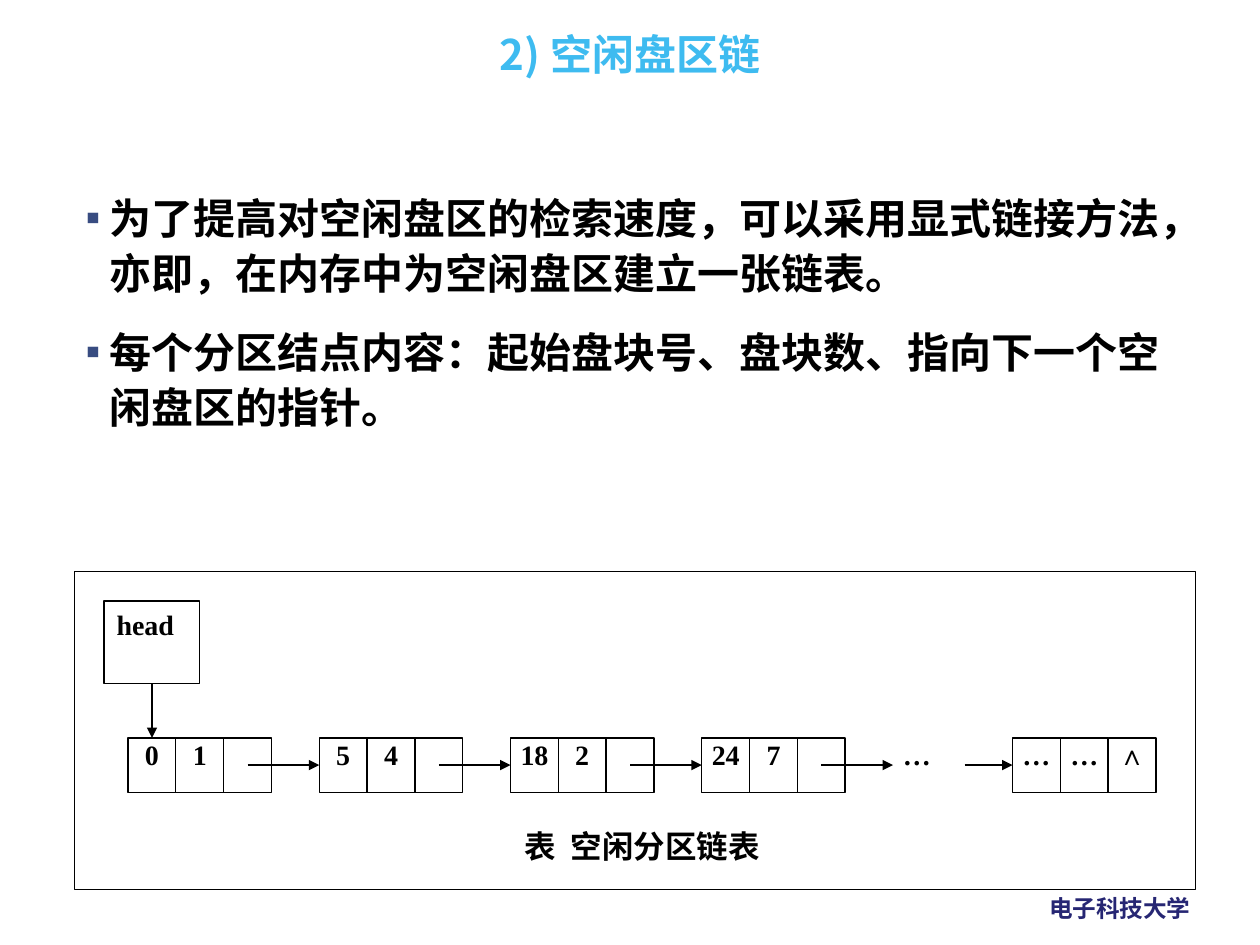
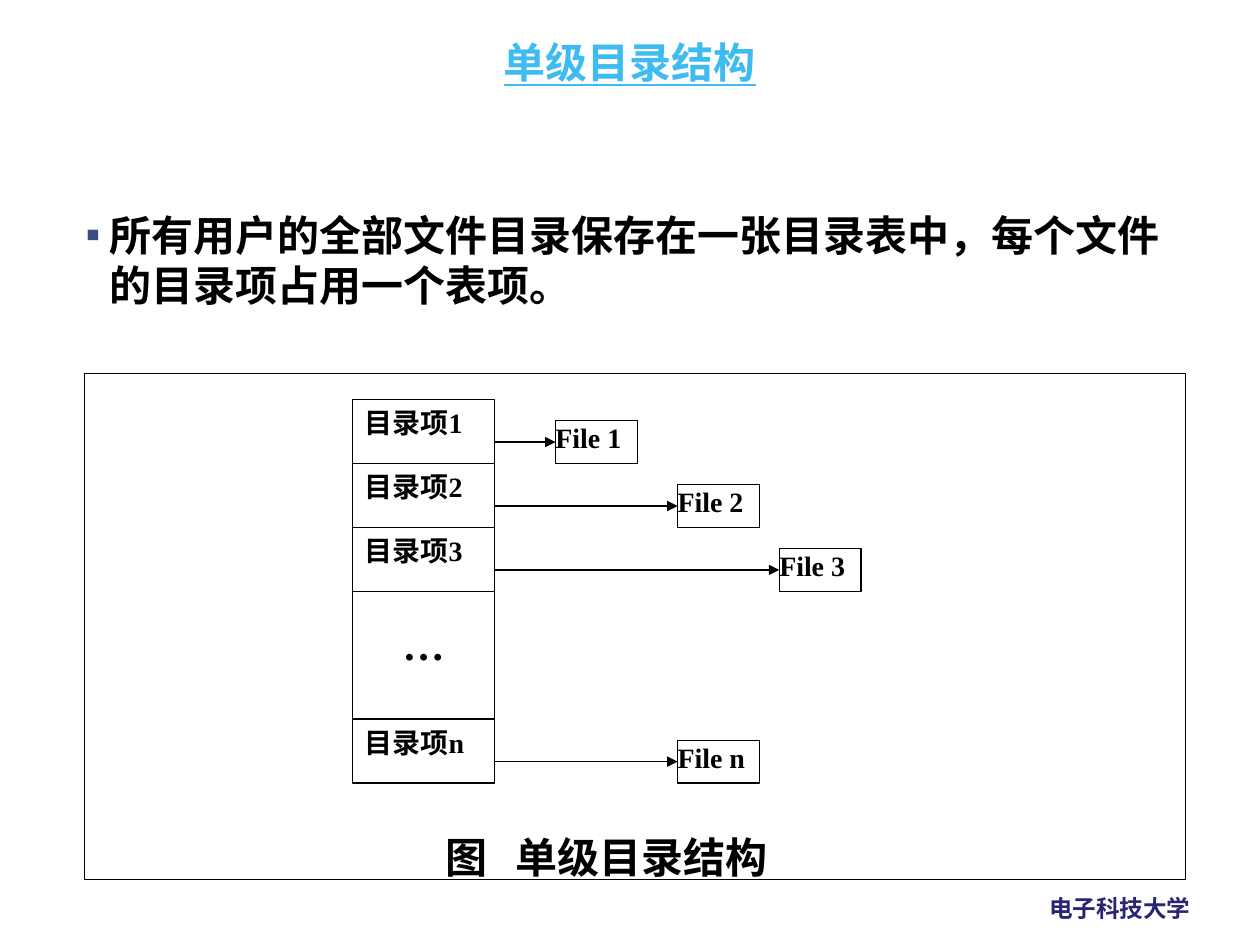
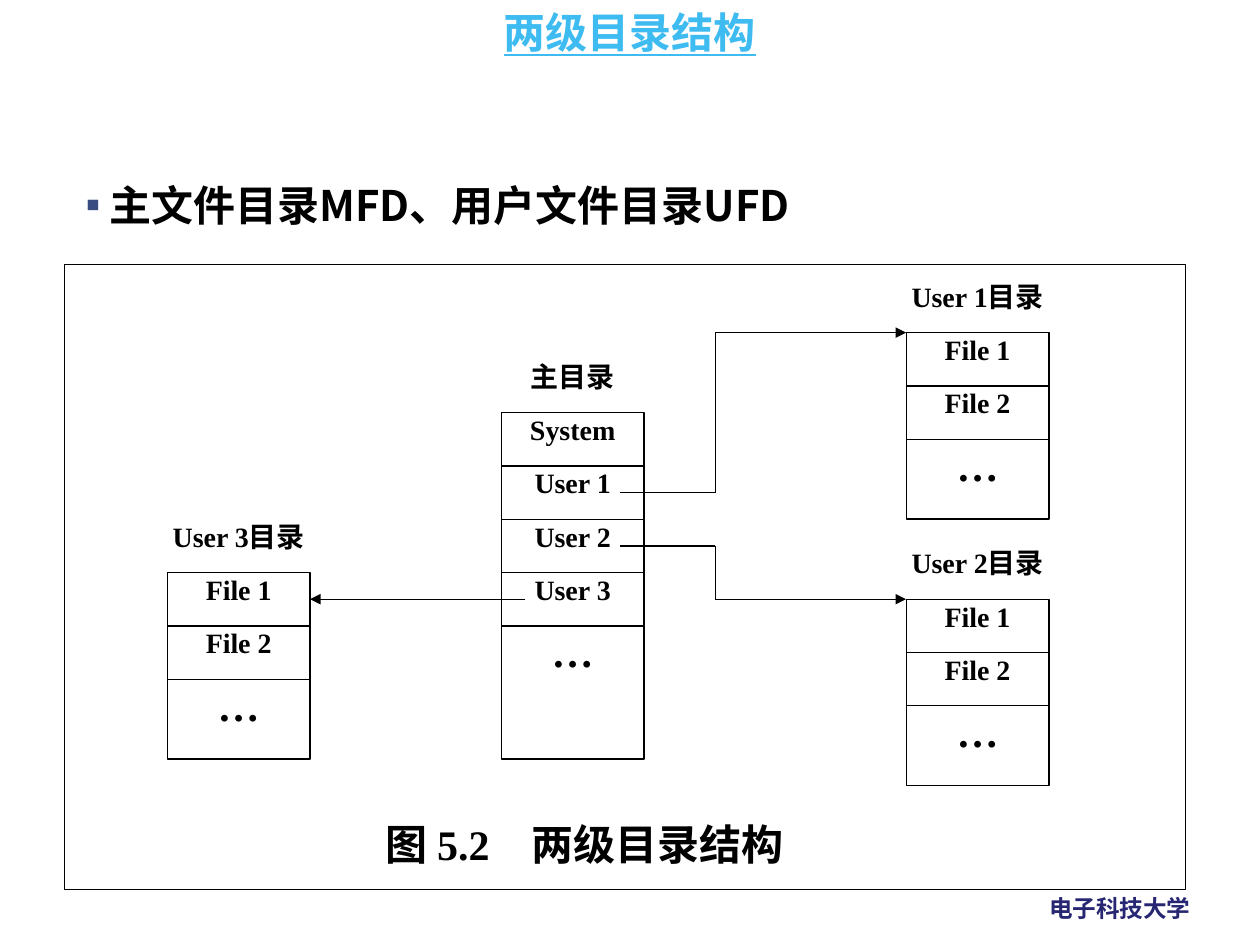
import pptx
import pptx.dml.color
import pptx.enum.shapes
import pptx.enum.text
import pptx.oxml.ns
import pptx.util
import lxml.etree

Pt = pptx.util.Pt
ALIGN = pptx.enum.text.PP_ALIGN
RECTANGLE = pptx.enum.shapes.MSO_SHAPE.RECTANGLE
STRAIGHT = pptx.enum.shapes.MSO_CONNECTOR.STRAIGHT
TOP, LEFT, BOTTOM, RIGHT = range(4)
SANS, SERIF = "Noto Sans CJK SC", "Times New Roman"
BLACK, TITLE, BULLET, FOOTER = "000000", "3EBBF0", "384C81", "262673"
INSETS = (7.2, 3.6, 7.2, 3.6)
NO_INSETS = (0, 0, 0, 0)


def color(value):
    """Turn a hex string into a colour."""
    return pptx.dml.color.RGBColor.from_string(value)


def add_element(parent, tag, **attributes):
    """Append a drawing element with the given attributes."""
    return lxml.etree.SubElement(parent, pptx.oxml.ns.qn(tag), attributes)


def set_format(target, values):
    """Set every attribute named in a dict."""
    for name, value in values.items():
        setattr(target, name, value)


class Deck:
    """Hold the shared style and the current slide."""

    def __init__(self):
        """Start an empty 10 by 7.5 inch presentation."""
        self.presentation = pptx.Presentation()
        set_format(self.presentation, {"slide_width": Pt(720), "slide_height": Pt(540)})
        self.slide = None

    def new_slide(self, title, top, underline=True):
        """Add a slide with its title and footer."""
        self.slide = self.presentation.slides.add_slide(self.presentation.slide_layouts[6])
        self.text(592.6, 507.2, 96.5, 23.8, "电子科技大学", size=13.5, font=SANS,
                  hue=FOOTER, align=ALIGN.LEFT, wrap=False)
        box = self.text(42.1, top, 635.8, 84.2, title, size=24, font=SANS, hue=TITLE,
                        underline=underline)
        box.text_frame.paragraphs[0].line_spacing = 0.9

    def run(self, paragraph, text, size=16, font=SERIF, hue=BLACK, underline=None):
        """Add a bold run to a paragraph."""
        run = paragraph.add_run()
        run.text = text
        set_format(run.font, {"size": Pt(size), "name": font, "bold": True,
                              "underline": underline})
        run.font.color.rgb = color(hue)
        add_element(run.font._element, "a:ea", typeface=SANS)
        return run

    def frame_format(self, shape, insets=INSETS, wrap=True):
        """Set the insets, wrapping and anchor of a shape's text."""
        names = ("margin_left", "margin_top", "margin_right", "margin_bottom")
        set_format(shape.text_frame, dict(zip(names, map(Pt, insets))))
        set_format(shape.text_frame, {"word_wrap": wrap,
                                      "vertical_anchor": pptx.enum.text.MSO_ANCHOR.TOP})
        return shape.text_frame.paragraphs[0]

    def text(self, left, top, width, height, text, align=ALIGN.CENTER, insets=INSETS,
             wrap=True, **style):
        """Add a text box with one paragraph."""
        box = self.slide.shapes.add_textbox(*map(Pt, (left, top, width, height)))
        paragraph = self.frame_format(box, insets, wrap)
        paragraph.alignment = align
        self.run(paragraph, text, **style)
        return box

    def rectangle(self, left, top, width, height, text="", align=ALIGN.CENTER,
                  insets=NO_INSETS, **style):
        """Add an outlined rectangle, with text if any."""
        shape = self.slide.shapes.add_shape(RECTANGLE, *map(Pt, (left, top, width, height)))
        shape.shadow.inherit = False
        shape.fill.background()
        shape.line.width = Pt(0.75)
        shape.line.color.rgb = color(BLACK)
        paragraph = self.frame_format(shape, insets)
        paragraph.alignment = align
        if text:
            self.run(paragraph, text, **style)
        return shape

    def bullets(self, top, height, items, spacing=1.0):
        """Add the bulleted body text."""
        box = self.slide.shapes.add_textbox(*map(Pt, (41.8, top, 635.8, height)))
        paragraph = self.frame_format(box)
        indent = Pt(13.7)
        for index, item in enumerate(items):
            if index:
                paragraph = box.text_frame.add_paragraph()
            set_format(paragraph, {"line_spacing": spacing,
                                   "space_before": Pt(13.5 if index else 0)})
            properties = paragraph._p.get_or_add_pPr()
            properties.set("marL", str(indent))
            properties.set("indent", str(-indent))
            add_element(add_element(properties, "a:buClr"), "a:srgbClr", val=BULLET)
            add_element(properties, "a:buFont", typeface=SERIF)
            add_element(properties, "a:buChar", char="▪")
            self.run(paragraph, item, size=24, font=SANS)

    def caption(self, left, top, width, height, label, title, gap, size=24):
        """Add a centred caption with a widened space after its label."""
        box = self.text(left, top, width, height, label, size=size)
        paragraph = box.text_frame.paragraphs[0]
        space = self.run(paragraph, " ", size=size)
        space.font._element.set("spc", str(int(gap * 100)))
        self.run(paragraph, title, size=size)

    def line(self, start, end, arrow=True, source=None, target=None):
        """Add a straight line, joined to (shape, side) pairs if given."""
        connector = self.slide.shapes.add_connector(STRAIGHT, *map(Pt, start + end))
        if source:
            connector.begin_connect(*source)
        if target:
            connector.end_connect(*target)
        connector.line.width = Pt(0.75)
        connector.line.color.rgb = color(BLACK)
        properties = connector._element.spPr
        if arrow:
            add_element(properties.get_or_add_ln(), "a:tailEnd", type="triangle")
        add_element(properties, "a:effectLst")

    def bent_arrow(self, *points):
        """Add lines through the points, with an arrowhead on the last."""
        for index in range(1, len(points)):
            self.line(points[index - 1], points[index], arrow=index == len(points) - 1)

    def stack(self, left, top, width, unit, entries, **style):
        """Stack (text, height in units) rectangles and return them."""
        shapes = []
        for text, units in entries:
            entry_style = dict(style)
            if text == "…":
                entry_style.update(size=24, align=ALIGN.CENTER)
                if "insets" in style:
                    entry_style["insets"] = (7.2, 15.6, 7.2, 3.6)
            shapes.append(self.rectangle(left, top, width, units * unit, text, **entry_style))
            top += units * unit
        return shapes


def free_extent_chain(deck):
    """Build the slide on the linked list of free extents."""
    deck.new_slide("2) 空闲盘区链", 15.8, underline=None)
    deck.bullets(103.4, 132.5, [
        "为了提高对空闲盘区的检索速度，可以采用显式链接方法，亦即，在内存中为空闲盘区建立一张链表。",
        "每个分区结点内容：起始盘块号、盘块数、指向下一个空闲盘区的指针。"], spacing=1.1)
    deck.rectangle(42.5, 326.7, 640.8, 181.6)
    deck.caption(73.3, 469, 587.5, 50.4, "表", "空闲分区链表", 4, size=18)

    cell, left, top, height = 27.32, 73.2, 421.7, 31
    middle = top + height / 2
    nodes = [(0, "0", "1", ""), (4, "5", "4", ""), (8, "18", "2", ""),
             (12, "24", "7", ""), (18.5, "…", "…", "∧")]
    first_cells = [
        [deck.rectangle(left + (column + index) * cell, top, cell, height, text)
         for index, text in enumerate(texts)][0]
        for column, *texts in nodes]
    deck.text(left + 16 * cell, top, cell, height, "…", insets=NO_INSETS)

    targets = [(shape, LEFT) for shape in first_cells[1:4]] + [None, (first_cells[4], LEFT)]
    spans = [(2.5, 4), (6.5, 8), (10.5, 12), (14.5, 16), (17.5, 18.5)]
    for (start, end), target in zip(spans, targets):
        deck.line((left + start * cell, middle), (left + end * cell, middle), target=target)
    head = deck.rectangle(left - cell / 2, 343.5, 2 * cell, 47.2, "head",
                          align=ALIGN.JUSTIFY, insets=INSETS)
    head_x = left + cell / 2
    deck.line((head_x, 390.7), (head_x, top), source=(head, BOTTOM),
              target=(first_cells[0], TOP))


def single_level_directory(deck):
    """Build the slide on the single-level directory."""
    deck.new_slide("单级目录结构", 20.5)
    deck.bullets(115.9, 354.2, ["所有用户的全部文件目录保存在一张目录表中，每个文件的目录项占用一个表项。"])
    deck.rectangle(48.2, 213.3, 629.3, 289.4)

    left, top, width, row = 201.4, 228.3, 81.3, 36.52
    deck.stack(left, top, width, row,
               [("目录项1", 1), ("目录项2", 1), ("目录项3", 1), ("…", 2), ("目录项n", 1)],
               align=ALIGN.JUSTIFY, insets=INSETS)
    files = [("1", 0, 317.4), ("2", 1, 387.2), ("3", 2, 445.3), ("n", 5, 387.2)]
    for name, index, file_left in files:
        file_height = row * 2 / 3
        file_top = top + (index + 1) * row - file_height
        file_box = deck.rectangle(file_left, file_top, 46.8, file_height, f"File {name}",
                                  align=ALIGN.JUSTIFY)
        arrow_y = file_top + file_height / 2
        deck.line((left + width, arrow_y), (file_left, arrow_y), target=(file_box, LEFT))
    deck.caption(201.1, 471.6, 290.9, 36.7, "图", "单级目录结构", 11)


def two_level_directory(deck):
    """Build the slide on the two-level directory."""
    deck.new_slide("两级目录结构", 3.6)
    deck.bullets(99.1, 354.2, ["主文件目录MFD、用户文件目录UFD"])
    deck.rectangle(36.7, 151, 640.8, 357.2)

    width, row = 81.6, 30.47

    def row_y(rows):
        """Give the height of a row line on the shared grid."""
        return 159.6 + rows * row

    files = [("File 1", 1), ("File 2", 1), ("…", 1.5)]
    users = [("User 1", 1), ("User 2", 1), ("User 3", 1)]
    directories = [
        ("主目录", 286.4, 1.5, [("System", 1), *users, ("…", 2.5)]),
        ("User 1目录", 517.8, 0, files),
        ("User 2目录", 517.8, 5, files),
        ("User 3目录", 95.6, 4.5, files)]
    stacks = {}
    for name, left, rows, entries in directories:
        deck.text(left, row_y(rows), width, row, name, insets=NO_INSETS)
        stacks[name] = deck.stack(left, row_y(rows + 1), width, row, entries)

    for start_rows, end_rows in [(4, 1), (5, 6)]:
        start_y, end_y = row_y(start_rows), row_y(end_rows)
        deck.bent_arrow((354.2, start_y), (408.8, start_y), (408.8, end_y), (517.8, end_y))
    deck.line((300.2, row_y(6)), (177.2, row_y(6)), target=(stacks["User 3目录"][0], RIGHT))
    deck.caption(82.1, 464.4, 504, 61.2, "图 5.2", "两级目录结构", 18)


def main():
    """Build and save the three slides."""
    deck = Deck()
    free_extent_chain(deck)
    single_level_directory(deck)
    two_level_directory(deck)
    deck.presentation.save("out.pptx")


if __name__ == "__main__":
    main()
